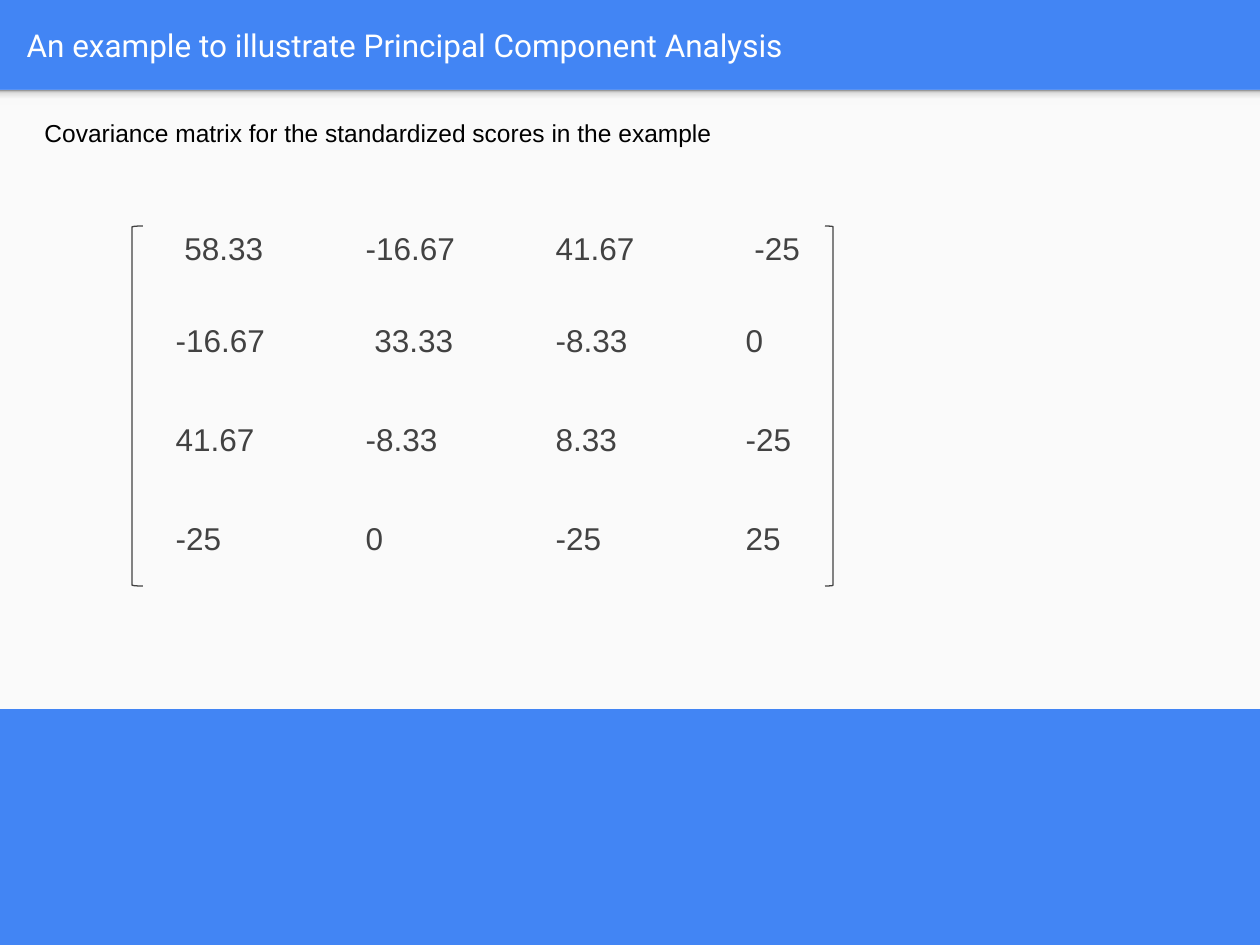
from lxml.etree import SubElement
from pptx import Presentation
from pptx.dml.color import RGBColor
from pptx.enum.shapes import MSO_SHAPE
from pptx.enum.text import MSO_ANCHOR, MSO_AUTO_SIZE, PP_ALIGN
from pptx.oxml.ns import qn
from pptx.util import Pt

TITLE = "An example to illustrate Principal Component Analysis"
CAPTION = "Covariance matrix for the standardized scores in the example"
MATRIX = [
    [" 58.33", "-16.67", "41.67", " -25"],
    ["-16.67", " 33.33", "-8.33", "0"],
    ["41.67", "-8.33", "8.33", "-25"],
    ["-25", "0", "-25", "25"],
]
ROW_HEIGHTS = [92, 99, 99, 99]
COLUMN_WIDTH = 190
MATRIX_LEFT, MATRIX_TOP = 163, 226
BRACKETS = [
    (MSO_SHAPE.LEFT_BRACKET, 132, 11),
    (MSO_SHAPE.RIGHT_BRACKET, 825, 8),
]
BRACKET_HEIGHT = 360

BLUE = RGBColor(0x42, 0x85, 0xF4)
PAPER = RGBColor(0xFA, 0xFA, 0xFA)
WHITE = RGBColor(0xFF, 0xFF, 0xFF)
BLACK = RGBColor(0x00, 0x00, 0x00)
GRAY = RGBColor(0x42, 0x42, 0x42)
SHADE_STOPS = [
    (0, RGBColor(0xF9, 0xF9, 0xF9)),
    (36, RGBColor(0xF9, 0xF9, 0xF9)),
    (80, RGBColor(0xDE, 0xDE, 0xDE)),
    (100, RGBColor(0x99, 0x99, 0x99)),
]
NO_GRID_STYLE = "{2D5ABB26-0587-4C30-8999-92F81FD0307C}"


def px(*lengths):
    return [round(length * 914400 / 126) for length in lengths]


def add_plain_shape(slide, kind, *box):
    shape = slide.shapes.add_shape(kind, *px(*box))
    shape.shadow.inherit = False
    shape.fill.background()
    shape.line.fill.background()
    return shape


def write(text_frame, text, font_name, size, color):
    text_frame.text = text
    paragraph = text_frame.paragraphs[0]
    paragraph.alignment = PP_ALIGN.LEFT
    font = paragraph.font
    font.name, font.size, font.color.rgb = font_name, Pt(size), color


def shade(shape):
    shape.fill.gradient()
    shape.fill.gradient_angle = 90
    stop_list = shape.element.spPr.find(qn("a:gradFill")).find(qn("a:gsLst"))
    for stop in list(stop_list):
        stop_list.remove(stop)
    for position, color in SHADE_STOPS:
        stop = SubElement(stop_list, qn("a:gs"), pos=str(position * 1000))
        SubElement(stop, qn("a:srgbClr"), val=str(color))


def add_matrix(slide):
    box = px(MATRIX_LEFT, MATRIX_TOP, COLUMN_WIDTH * len(MATRIX[0]), sum(ROW_HEIGHTS))
    frame = slide.shapes.add_table(len(MATRIX), len(MATRIX[0]), *box)
    table = frame.table
    table.first_row = table.horz_banding = False
    table._tbl.tblPr.find(qn("a:tableStyleId")).text = NO_GRID_STYLE
    for column in table.columns:
        column.width = px(COLUMN_WIDTH)[0]
    for row, height, values in zip(table.rows, ROW_HEIGHTS, MATRIX):
        row.height = px(height)[0]
        for cell, value in zip(row.cells, values):
            cell.fill.background()
            write(cell.text_frame, value, "Arial", 18, GRAY)


def main():
    presentation = Presentation()
    presentation.slide_width, presentation.slide_height = px(1260, 945)
    slide = presentation.slides.add_slide(presentation.slide_layouts[5])
    slide.background.fill.solid()
    slide.background.fill.fore_color.rgb = BLUE

    paper = add_plain_shape(slide, MSO_SHAPE.RECTANGLE, 0, 90, 1260, 619)
    paper.fill.solid()
    paper.fill.fore_color.rgb = PAPER
    shade(add_plain_shape(slide, MSO_SHAPE.RECTANGLE, 0, 90, 1260, 15))

    title = slide.shapes.title
    title.left, title.top, title.width, title.height = px(14, 3, 1216, 83)
    write(title.text_frame, TITLE, "Roboto", 18, WHITE)
    title.text_frame.vertical_anchor = MSO_ANCHOR.MIDDLE
    title.text_frame.auto_size = MSO_AUTO_SIZE.NONE

    add_matrix(slide)
    for kind, left, width in BRACKETS:
        bracket = add_plain_shape(slide, kind, left, MATRIX_TOP, width, BRACKET_HEIGHT)
        bracket.line.color.rgb = GRAY
        bracket.line.width = Pt(0.75)

    caption = slide.shapes.add_textbox(*px(32, 112, 1193, 43))
    caption.text_frame.word_wrap = True
    caption.text_frame.auto_size = MSO_AUTO_SIZE.SHAPE_TO_FIT_TEXT
    write(caption.text_frame, CAPTION, "Arial", 14, BLACK)

    presentation.save("out.pptx")


if __name__ == "__main__":
    main()
